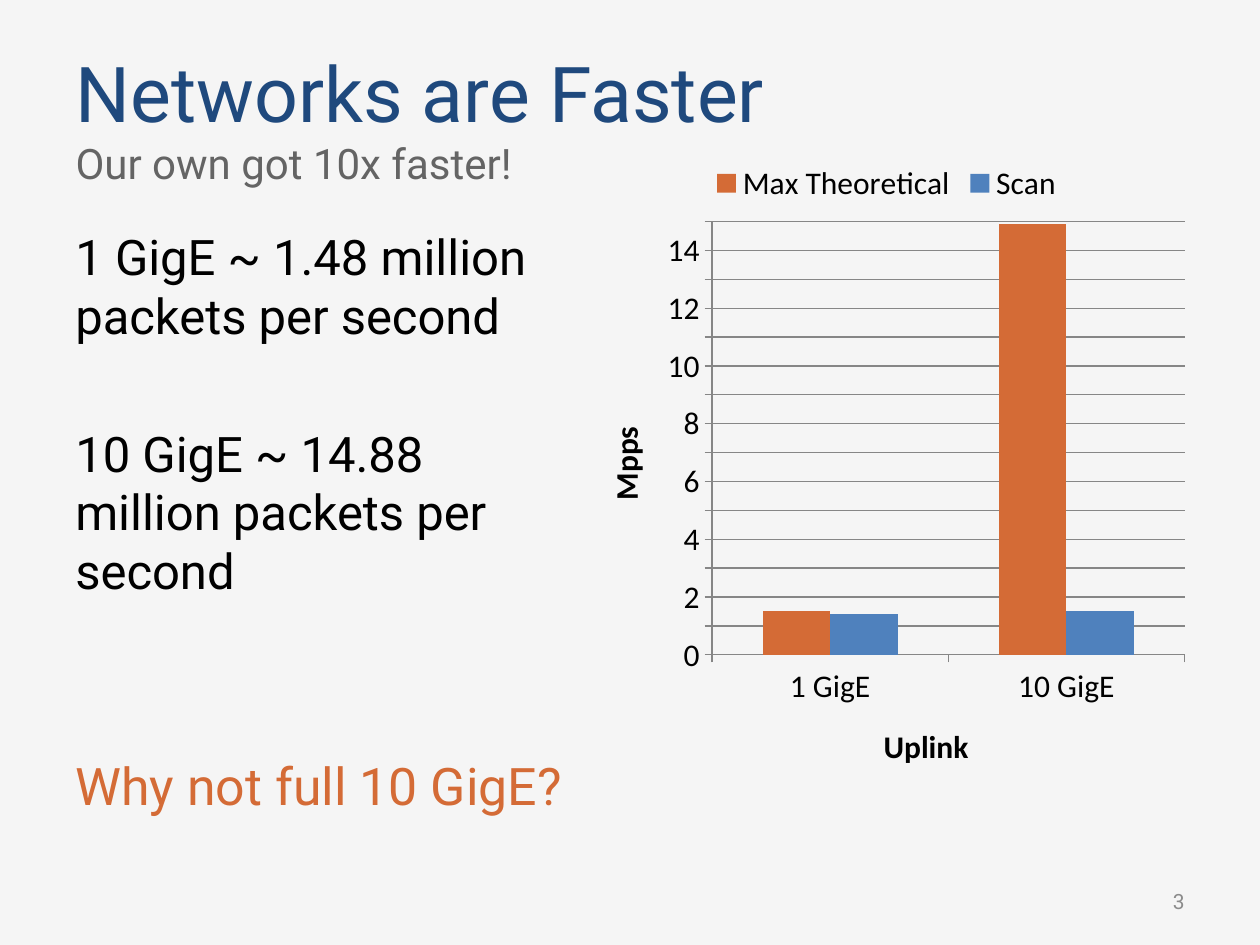
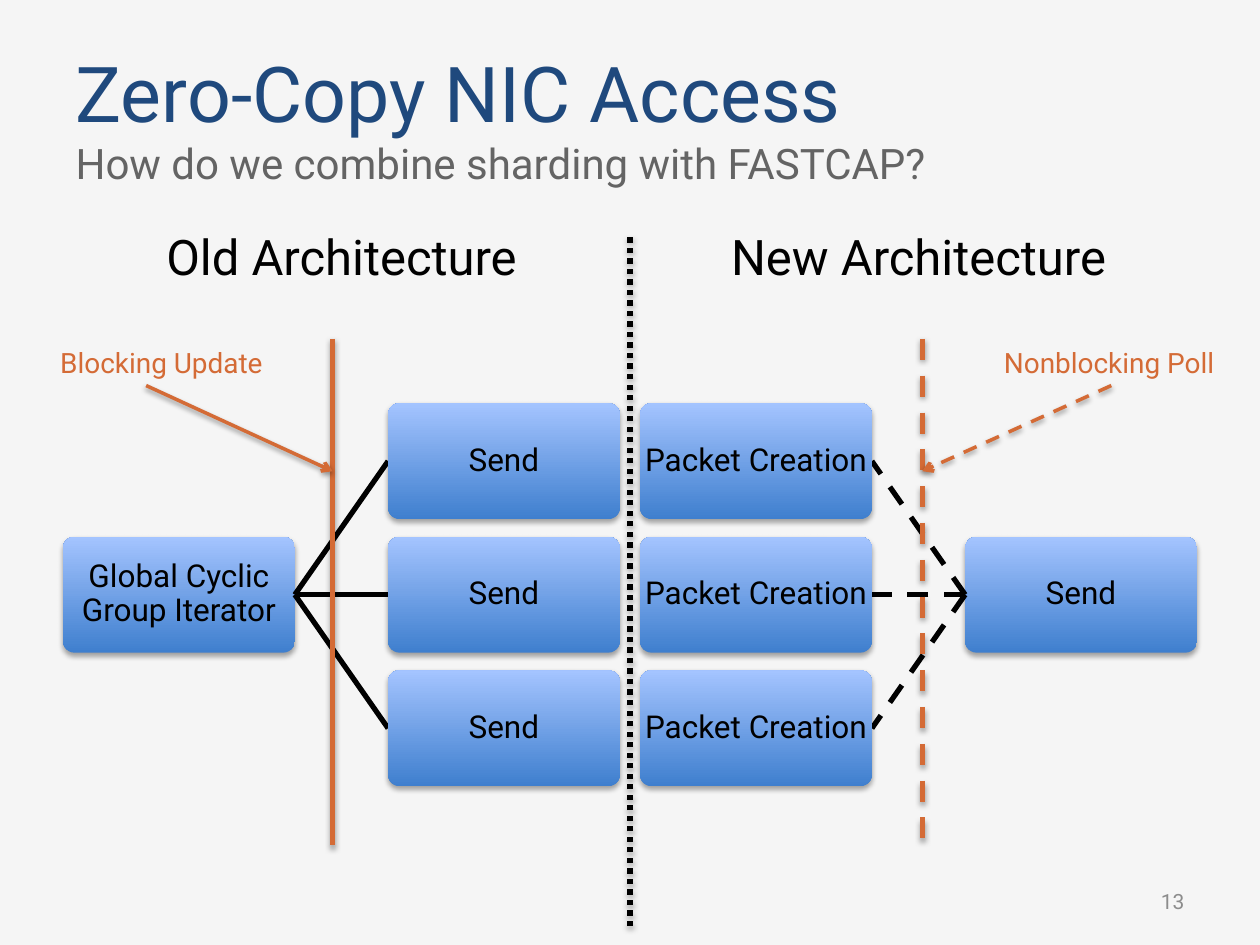
from dataclasses import dataclass

from lxml import etree
from pptx import Presentation
from pptx.chart.data import CategoryChartData
from pptx.dml.color import RGBColor
from pptx.enum.chart import XL_CHART_TYPE, XL_LEGEND_POSITION, XL_TICK_MARK
from pptx.enum.dml import MSO_LINE
from pptx.enum.shapes import MSO_CONNECTOR, MSO_SHAPE
from pptx.enum.text import MSO_ANCHOR, PP_ALIGN
from pptx.oxml.ns import qn
from pptx.util import Inches, Pt

COLUMN = XL_CHART_TYPE.COLUMN_CLUSTERED
TOP_KEY = XL_LEGEND_POSITION.TOP
TICK_OUT = XL_TICK_MARK.OUTSIDE
DASH, DOT = MSO_LINE.DASH, MSO_LINE.ROUND_DOT
STRAIGHT = MSO_CONNECTOR.STRAIGHT
ROUND = MSO_SHAPE.ROUNDED_RECTANGLE
TOP, MIDDLE = MSO_ANCHOR.TOP, MSO_ANCHOR.MIDDLE
LEFT, CENTER, RIGHT = PP_ALIGN.LEFT, PP_ALIGN.CENTER, PP_ALIGN.RIGHT


@dataclass(frozen=True)
class Theme:
    font: str = "Roboto"
    plot_font: str = "Calibri"
    back: str = "F5F5F5"
    navy: str = "1F497D"
    gray: str = "646464"
    pale: str = "8C8C8C"
    grid: str = "868686"
    black: str = "000000"
    orange: str = "D46B36"
    blue: str = "4F81BD"
    box_low: str = "3F7FCE"
    box_high: str = "A4C4FF"
    title: float = 44
    sub: float = 24
    body: float = 28
    ask: float = 29.6
    box: float = 18
    plot: float = 18
    label: float = 16
    page: float = 12


def rgb(code):
    return RGBColor.from_string(code)


def place(shape, area):
    shape.left, shape.top, shape.width, shape.height = map(Inches, area)


class Deck:
    def __init__(self, theme):
        self.theme = theme
        self.prs = Presentation()
        self.prs.slide_width, self.prs.slide_height = Inches(10), Inches(7.5)
        fill = self.prs.slide_master.background.fill
        fill.solid()
        fill.fore_color.rgb = rgb(theme.back)

    def slide(self, title, sub, page):
        t = self.theme
        self.page = self.prs.slides.add_slide(self.prs.slide_layouts[5])
        self.shapes = self.page.shapes
        head = self.shapes.title
        place(head, (0.5, 0.3, 9, 1.25))
        head.text_frame.vertical_anchor = MIDDLE
        para = head.text_frame.paragraphs[0]
        para.alignment = LEFT
        self.run(para, title, t.title, t.navy)
        para.add_line_break()
        self.run(para, sub, t.sub, t.gray)
        self.text((7.17, 6.95, 2.33, 0.4), [page], t.page, t.pale, RIGHT, MIDDLE)

    def run(self, para, words, size, color):
        run = para.add_run()
        run.text = words
        run.font.name = self.theme.font
        run.font.size = Pt(size)
        run.font.color.rgb = rgb(color)

    def text(self, area, lines, size, color, align=LEFT, anchor=TOP, gap=0, wrap=True):
        box = self.shapes.add_textbox(*map(Inches, area))
        frame = box.text_frame
        frame.word_wrap = wrap
        frame.vertical_anchor = anchor
        for i, words in enumerate(lines):
            para = frame.add_paragraph() if i else frame.paragraphs[0]
            para.alignment = align
            para.space_before = Pt(gap if i else 0)
            self.run(para, words, size, color)

    def effect(self, shape, drop=0, alpha=0):
        props = shape._element.spPr
        effects = etree.SubElement(props, qn("a:effectLst"))
        if drop:
            shade = etree.SubElement(
                effects, qn("a:outerShdw"), blurRad=str(Pt(3.1)),
                dist=str(Pt(drop)), dir="5400000", rotWithShape="0")
            color = etree.SubElement(shade, qn("a:srgbClr"), val=self.theme.black)
            etree.SubElement(color, qn("a:alpha"), val=str(alpha * 1000))

    def box(self, area, words):
        t = self.theme
        box = self.shapes.add_shape(ROUND, *map(Inches, area))
        box.adjustments[0] = 0.1
        box.fill.gradient()
        box.fill.gradient_angle = 90
        for stop, color in zip(box.fill.gradient_stops, (t.box_low, t.box_high)):
            stop.color.rgb = rgb(color)
        box.line.fill.background()
        self.effect(box, 1.8, 35)
        frame = box.text_frame
        frame.word_wrap = True
        frame.vertical_anchor = MIDDLE
        frame.margin_left = frame.margin_right = 0
        frame.margin_top = frame.margin_bottom = 0
        para = frame.paragraphs[0]
        para.alignment = CENTER
        para.line_spacing = 0.9
        self.run(para, words, t.box, t.black)

    def line(self, start, end, color, width=3, dash=None, arrow=False, shade=True):
        line = self.shapes.add_connector(STRAIGHT, *map(Inches, start + end))
        line.line.width = Pt(width)
        line.line.color.rgb = rgb(color)
        if dash:
            line.line.dash_style = dash
        if arrow:
            etree.SubElement(line.line._ln, qn("a:tailEnd"), type="arrow")
        self.effect(line, 1.6 if shade else 0, 38)

    def chart(self, area, cats, series, names):
        t = self.theme
        data = CategoryChartData()
        data.categories = cats
        for name, vals, _ in series:
            data.add_series(name, vals)
        chart = self.shapes.add_chart(COLUMN, *map(Inches, area), data).chart
        chart.font.name = t.plot_font
        chart.font.size = Pt(t.plot)
        chart.font.color.rgb = rgb(t.black)
        chart.has_title = False
        chart.has_legend = True
        chart.legend.position = TOP_KEY
        chart.legend.include_in_layout = False
        plot = chart.plots[0]
        plot.gap_width = 150
        plot.overlap = 0
        plot.vary_by_categories = False
        for bars, (_, _, color) in zip(plot.series, series):
            bars.format.fill.solid()
            bars.format.fill.fore_color.rgb = rgb(color)
        axes = chart.category_axis, chart.value_axis
        for axis, name in zip(axes, names):
            axis.major_tick_mark = TICK_OUT
            axis.format.line.color.rgb = rgb(t.grid)
            run = axis.axis_title.text_frame.paragraphs[0].add_run()
            run.text = name
            run.font.name = t.plot_font
            run.font.size = Pt(t.plot)
            run.font.bold = True
            run.font.color.rgb = rgb(t.black)
        scale = chart.value_axis
        scale.minimum_scale, scale.maximum_scale, scale.major_unit = 0, 15, 1
        scale.has_major_gridlines = True
        scale.major_gridlines.format.line.color.rgb = rgb(t.grid)

    def tree(self, root, leaf, lone, many, dash=None):
        wide, high, top, step = 1.84, 0.92, 3.2, 1.06
        rows = [top + step * i for i in range(3)]
        mid = rows[1] + high / 2
        if root < leaf:
            hub, rim = root + wide, leaf
        else:
            hub, rim = root, leaf + wide
        self.box((root, rows[1], wide, high), lone)
        for row in rows:
            self.line((hub, mid), (rim, row + high / 2), self.theme.black,
                      dash=dash, shade=False)
            self.box((leaf, row, wide, high), many)


def speed(deck):
    t = deck.theme
    deck.slide("Networks are Faster", "Our own got 10x faster!", "3")
    deck.text((0.5, 1.75, 4.07, 3.67),
              ["1 GigE ~ 1.48 million packets per second",
               "10 GigE ~ 14.88 million packets per second"],
              t.body, t.black, gap=45)
    deck.chart((4.57, 1.18, 4.93, 5.14), ["1 GigE", "10 GigE"],
               [("Max Theoretical", (1.5, 14.9), t.orange),
                ("Scan", (1.4, 1.5), t.blue)],
               ("Uplink", "Mpps"))
    deck.text((0.5, 5.93, 4.19, 1.03), ["Why not full 10 GigE?"], t.ask, t.orange)


def access(deck):
    t = deck.theme
    deck.slide("Zero-Copy NIC Access", "How do we combine sharding with FASTCAP?", "13")
    for x, words in ((0.5, "Old Architecture"), (5.08, "New Architecture")):
        deck.text((x, 1.75, 4.42, 0.59), [words], t.body, t.black, CENTER)
    deck.tree(0.5, 3.08, "Global Cyclic Group Iterator", "Send")
    deck.tree(7.66, 5.08, "Send", "Packet Creation", DASH)
    marks = ((2.64, 0.38, 1.16, "Blocking Update", None),
             (7.32, 7.87, 8.82, "Nonblocking Poll", DASH))
    for wall, x, tail, words, dash in marks:
        deck.line((wall, 2.69), (wall, 6.71), t.orange, dash=dash)
        deck.text((x, 2.69, 1.9, 0.37), [words], t.label, t.orange, wrap=False)
        deck.line((tail, 3.06), (wall, 3.74), t.orange, 2, dash, arrow=True)
    deck.line((5, 7.35), (5, 1.85), t.black, dash=DOT)


def main():
    deck = Deck(Theme())
    speed(deck)
    access(deck)
    deck.prs.save("out.pptx")


if __name__ == "__main__":
    main()
